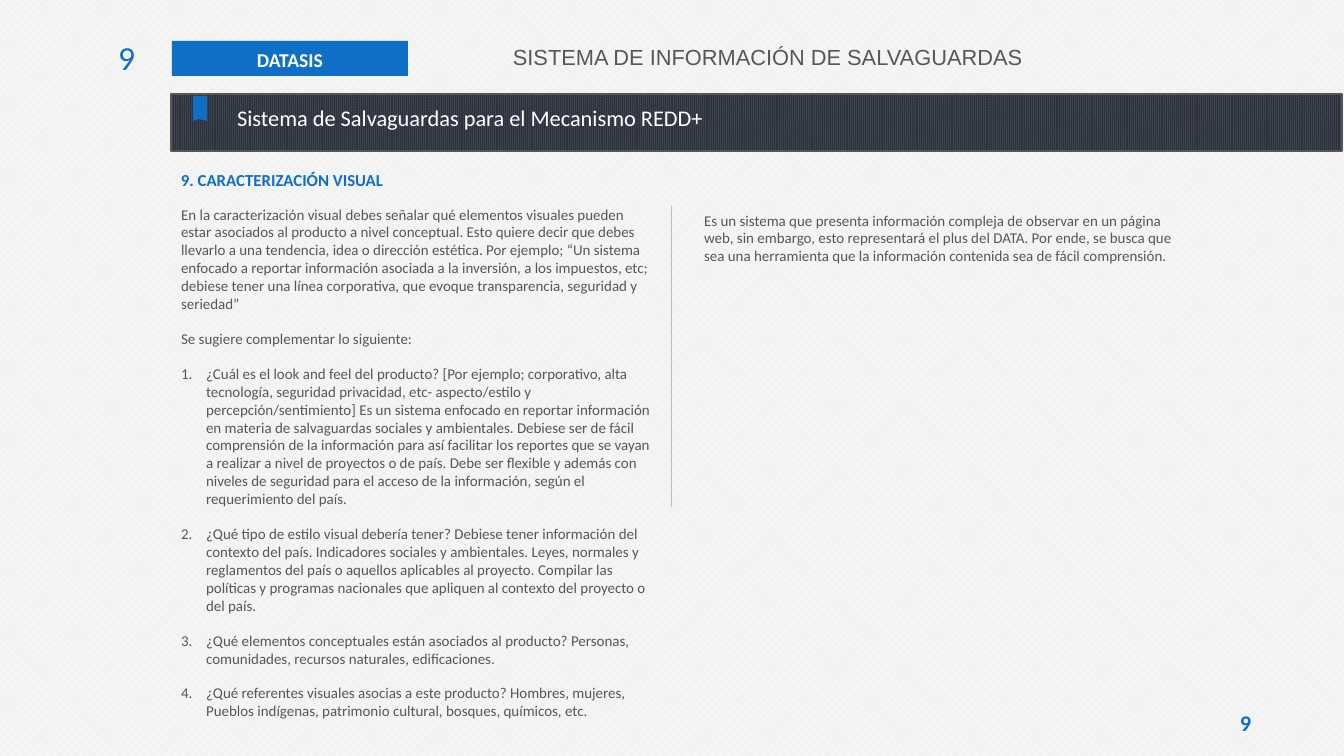
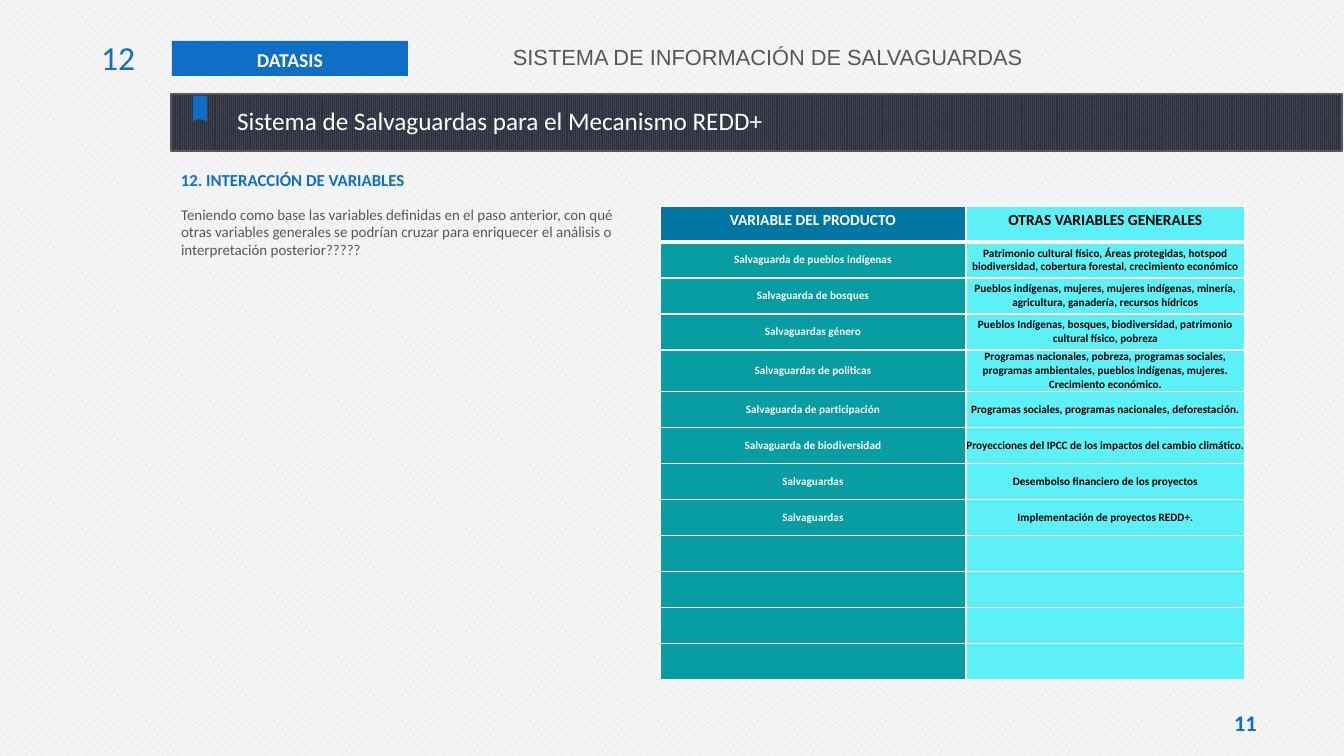
"""Builds two slides on visual characterisation and variable interaction of a safeguards system."""
from lxml.etree import SubElement
from pptx import Presentation
from pptx.dml.color import RGBColor
from pptx.enum.dml import MSO_PATTERN
from pptx.enum.shapes import MSO_CONNECTOR, MSO_SHAPE
from pptx.enum.text import MSO_ANCHOR, MSO_AUTO_SIZE, PP_ALIGN
from pptx.oxml import parse_xml
from pptx.oxml.ns import nsdecls, qn
from pptx.util import Pt

PX = 914400 / 100.8
COLORS = {
    "blue": "0F6FC6", "gray": "575756", "white": "FFFFFF", "black": "000000",
    "paper": "F2F2F2", "band": "2D313C", "band_weave": "444A5A", "divider": "BFBFBF",
    "header": "0076A3", "teal": "089CA3", "aqua": "5EF0F7",
}
SYSTEM = "DATASIS"
SYSTEM_NAME = "SISTEMA DE INFORMACIÓN DE SALVAGUARDAS"
TITLE = "Sistema de Salvaguardas para el Mecanismo REDD+"
RIBBON = [(207, 96), (207, 121), (199, 119), (193, 121), (193, 96)]

VISUAL = {
    "layout": 3, "section": "9", "page": "9", "title_size": 16,
    "heading": "9. CARACTERIZACIÓN VISUAL",
    "columns": [
        {
            "box": (171, 200, 496, 529),
            "intro": [
                "En la caracterización visual debes señalar qué elementos visuales pueden estar asociados al producto a nivel conceptual. Esto quiere decir que debes llevarlo a una tendencia, idea o dirección estética. Por ejemplo; “Un sistema enfocado a reportar información asociada a la inversión, a los impuestos, etc; debiese tener una línea corporativa, que evoque transparencia, seguridad y seriedad”",
                "Se sugiere complementar lo siguiente:",
            ],
            "questions": [
                "¿Cuál es el look and feel del producto? [Por ejemplo; corporativo, alta tecnología, seguridad privacidad, etc- aspecto/estilo y percepción/sentimiento] Es un sistema enfocado en reportar información en materia de salvaguardas sociales y ambientales. Debiese ser de fácil comprensión de la información para así facilitar los reportes que se vayan a realizar a nivel de proyectos o de país. Debe ser flexible y además con niveles de seguridad para el acceso de la información, según el requerimiento del país.",
                "¿Qué tipo de estilo visual debería tener? Debiese tener información del contexto del país. Indicadores sociales y ambientales. Leyes, normales y reglamentos del país o aquellos aplicables al proyecto. Compilar las políticas y programas nacionales que apliquen al contexto del proyecto o del país.",
                "¿Qué elementos conceptuales están asociados al producto? Personas, comunidades, recursos naturales, edificaciones.",
                "¿Qué referentes visuales asocias a este producto? Hombres, mujeres, Pueblos indígenas, patrimonio cultural, bosques, químicos, etc.",
            ],
        },
        {
            "box": (694, 206, 496, 65),
            "intro": [
                "Es un sistema que presenta información compleja de observar en un página web, sin embargo, esto representará el plus del DATA. Por ende, se busca que sea una herramienta que la información contenida sea de fácil comprensión.",
            ],
            "questions": [],
        },
    ],
}
INTERACTION = {
    "layout": 1, "section": "12", "page": "11", "title_size": 18,
    "heading": "12. INTERACCIÓN DE VARIABLES",
    "columns": [
        {
            "box": (171, 200, 471, 65),
            "intro": [
                "Teniendo como base las variables definidas en el paso anterior, con qué otras variables generales se podrían cruzar para enriquecer el análisis o interpretación posterior?????",
            ],
            "questions": [],
        },
    ],
}
VARIABLES = [
    ("VARIABLE DEL PRODUCTO", "OTRAS VARIABLES GENERALES"),
    ("Salvaguarda de pueblos indígenas", "Patrimonio cultural físico, Áreas protegidas, hotspod biodiversidad, cobertura forestal, crecimiento económico"),
    ("Salvaguarda de bosques", "Pueblos indígenas, mujeres, mujeres indígenas, minería, agricultura, ganadería, recursos hídricos"),
    ("Salvaguardas género", "Pueblos Indígenas, bosques, biodiversidad, patrimonio cultural físico, pobreza"),
    ("Salvaguardas de políticas", "Programas nacionales, pobreza, programas sociales, programas ambientales, pueblos indígenas, mujeres. Crecimiento económico."),
    ("Salvaguarda de participación", "Programas sociales, programas nacionales, deforestación."),
    ("Salvaguarda de biodiversidad", "Proyecciones del IPCC de los impactos del cambio climático."),
    ("Salvaguardas", "Desembolso financiero de los proyectos"),
    ("Salvaguardas", "Implementación de proyectos REDD+."),
] + [("", "")] * 4
COLUMN_WIDTHS = (306, 279)
ROW_HEIGHT = 36


def rgb(name):
    return RGBColor.from_string(COLORS[name])


def emu(*lengths):
    return [round(length * PX) for length in lengths]


def weave(fill, preset, fore, back):
    fill.patterned()
    fill.pattern = MSO_PATTERN.from_xml(preset)
    fill.fore_color.rgb = rgb(fore)
    fill.back_color.rgb = rgb(back)


def style(paragraph, size, color, bold=False, align=PP_ALIGN.LEFT, font="Calibri"):
    paragraph.alignment = align
    for run in paragraph.runs:
        run.font.name = font
        run.font.size = Pt(size)
        run.font.bold = bold
        run.font.color.rgb = rgb(color)


def write(shape, text, size, color, anchor=MSO_ANCHOR.TOP, spacing=None, **look):
    frame = shape.text_frame
    frame.text = text
    frame.word_wrap = True
    frame.auto_size = MSO_AUTO_SIZE.NONE
    frame.vertical_anchor = anchor
    frame.paragraphs[0].line_spacing = spacing
    style(frame.paragraphs[0], size, color, **look)
    return frame


def label(slide, box, text, size, color, **look):
    return write(slide.shapes.add_textbox(*emu(*box)), text, size, color, **look)


def place(shape, box):
    shape.left, shape.top, shape.width, shape.height = emu(*box)


def block(slide, box):
    shape = slide.shapes.add_shape(MSO_SHAPE.RECTANGLE, *emu(*box))
    shape.shadow.inherit = False
    return shape


def paint(shape, color):
    shape.fill.solid()
    shape.fill.fore_color.rgb = rgb(color)
    shape.line.fill.background()


def fill_column(body, column):
    place(body, column["box"])
    frame = body.text_frame
    frame.auto_size = MSO_AUTO_SIZE.NONE
    frame.vertical_anchor = MSO_ANCHOR.TOP
    frame.text = "\n".join(column["intro"] + column["questions"])
    for index, paragraph in enumerate(frame.paragraphs):
        numbered = index >= len(column["intro"])
        indent = emu(25 if numbered else 0)[0]
        properties = paragraph._p.get_or_add_pPr()
        properties.set("marL", str(indent))
        properties.set("indent", str(-indent))
        if numbered:
            SubElement(properties, qn("a:buAutoNum"), type="arabicPeriod")
        else:
            SubElement(properties, qn("a:buNone"))
        paragraph.space_before = Pt(6 if index else 0)
        paragraph.space_after = Pt(6)
        style(paragraph, 10.7, "gray")


def add_page(prs, content):
    slide = prs.slides.add_slide(prs.slide_layouts[content["layout"]])
    page = label(slide, (1215, 706, 61, 33), content["page"], 16, "blue",
                 anchor=MSO_ANCHOR.MIDDLE, bold=True, align=PP_ALIGN.CENTER)
    page.margin_left, page.margin_top, page.margin_right, page.margin_bottom = emu(5, 2, 5, 2)
    label(slide, (503, 39, 680, 50), SYSTEM_NAME, 15.6, "gray", font="Arial")
    badge = block(slide, (172, 41, 236, 35))
    paint(badge, "blue")
    write(badge, SYSTEM, 14, "white", spacing=1.1, bold=True, align=PP_ALIGN.CENTER)
    label(slide, (79, 32, 66, 50), content["section"], 24, "blue", align=PP_ALIGN.RIGHT)

    band = block(slide, (171, 94, 1171, 57))
    weave(band.fill, "pct90", "band", "band_weave")
    band.line.color.rgb = rgb("gray")
    band.line.width = Pt(2)
    title = slide.shapes.title
    place(title, (227, 94, 837, 56))
    write(title, TITLE, content["title_size"], "white", spacing=1.2, align=PP_ALIGN.JUSTIFY)
    band.element.addnext(title.element)
    outline = slide.shapes.build_freeform(*RIBBON[0], scale=PX)
    outline.add_line_segments(RIBBON[1:], close=True)
    ribbon = outline.convert_to_shape()
    ribbon.shadow.inherit = False
    paint(ribbon, "blue")

    label(slide, (171, 165, 500, 30), content["heading"], 12, "blue", bold=True)
    bodies = [holder for holder in slide.placeholders if holder.placeholder_format.idx]
    for body, column in zip(bodies, content["columns"]):
        fill_column(body, column)
    return slide


def add_divider(slide):
    divider = slide.shapes.add_connector(MSO_CONNECTOR.STRAIGHT, *emu(672, 206, 672, 507))
    divider.line.color.rgb = rgb("divider")
    divider.line.width = Pt(0.75)
    SubElement(divider.element.spPr, qn("a:effectLst"))


def set_borders(cell, widths):
    properties = cell._tc.get_or_add_tcPr()
    for index, (side, width) in enumerate(widths.items()):
        properties.insert(index, parse_xml(
            f'<a:ln{side} {nsdecls("a")} w="{Pt(width)}"><a:solidFill>'
            f'<a:srgbClr val="{COLORS["white"]}"/></a:solidFill></a:ln{side}>'))


def add_variables(slide):
    box = (660, 206, sum(COLUMN_WIDTHS), ROW_HEIGHT * len(VARIABLES))
    table = slide.shapes.add_table(len(VARIABLES), len(COLUMN_WIDTHS), *emu(*box)).table
    for column, width in zip(table.columns, emu(*COLUMN_WIDTHS)):
        column.width = width
    for row_index, texts in enumerate(VARIABLES):
        header = row_index == 0
        table.rows[row_index].height = emu(ROW_HEIGHT)[0]
        fills = ("header" if header else "teal", "aqua")
        for column_index, (text, fill, ink) in enumerate(zip(texts, fills, ("white", "black"))):
            cell = table.cell(row_index, column_index)
            cell.text = text
            cell.fill.solid()
            cell.fill.fore_color.rgb = rgb(fill)
            style(cell.text_frame.paragraphs[0], 11 if header else 8, ink,
                  bold=True, align=PP_ALIGN.CENTER)
            if not header:
                cell.vertical_anchor = MSO_ANCHOR.MIDDLE
                cell.margin_left = cell.margin_top = cell.margin_right = cell.margin_bottom = 0
            set_borders(cell, {"L": 1, "R": 1, "T": 3 if row_index == 1 else 1, "B": 3 if header else 1})


def main():
    prs = Presentation()
    prs.slide_width, prs.slide_height = emu(1344, 756)
    weave(prs.slide_master.background.fill, "pct40", "white", "paper")
    add_divider(add_page(prs, VISUAL))
    add_variables(add_page(prs, INTERACTION))
    prs.save("out.pptx")


if __name__ == "__main__":
    main()
